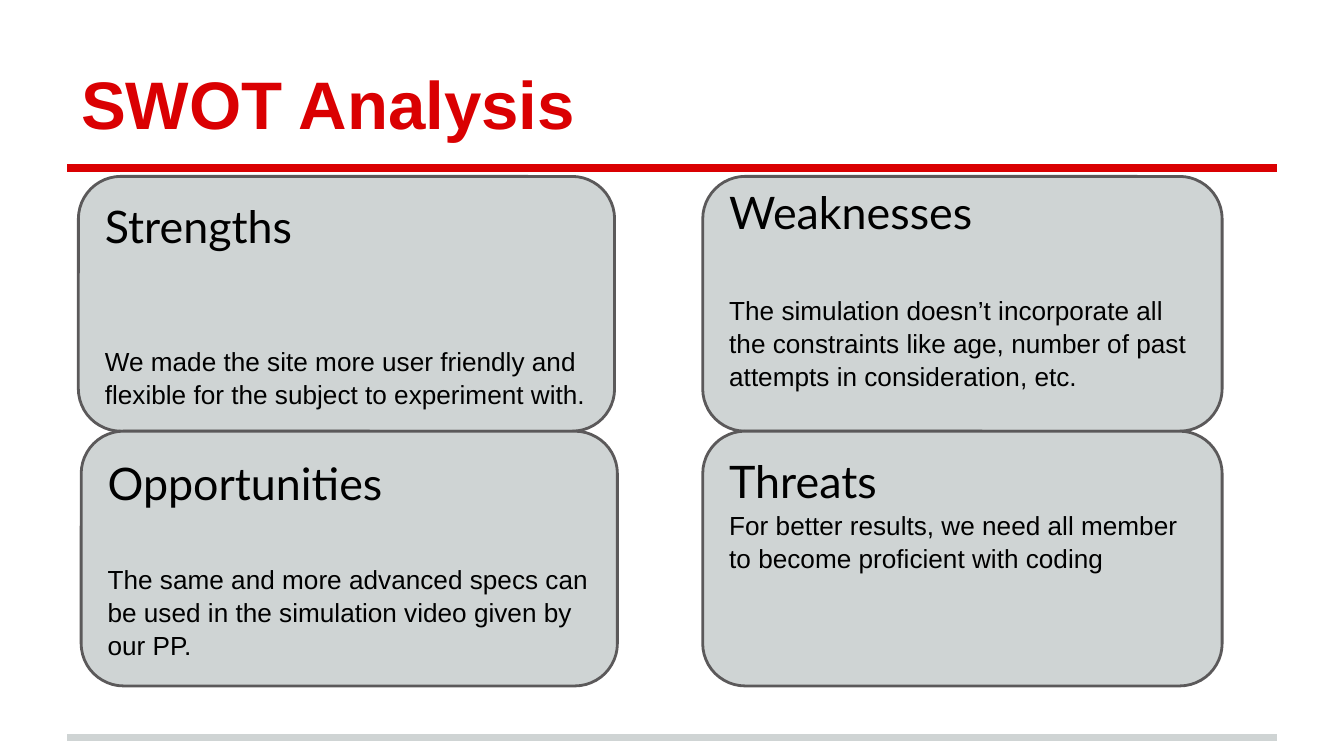
from dataclasses import dataclass

from lxml import etree
from pptx import Presentation
from pptx import util as u
from pptx.dml.color import RGBColor
from pptx.enum import shapes, text
from pptx.oxml.ns import qn


@dataclass(frozen=True)
class Theme:
    red = RGBColor(0xDA, 0x00, 0x02)
    pale = RGBColor(0xCF, 0xD4, 0xD4)
    outline = RGBColor(0x5B, 0x59, 0x5A)
    ink = RGBColor(0x00, 0x00, 0x00)
    title_size = u.Pt(36)
    heading_size = u.Pt(24)
    body_size = u.Pt(14)
    rule_width = u.Pt(4)
    card_line = u.Pt(1.5)
    heading_font = "Lato"
    body_font = "Arial"


theme = Theme()
PX = 9525  # EMU per px, 96 px to the inch
INSET = 10


def set_frame(frame, anchor, extra_bottom=0):
    """Wrap and anchor the text, with even insets plus extra room below."""
    frame.word_wrap = True
    frame.vertical_anchor = anchor
    frame.margin_left = frame.margin_right = frame.margin_top = INSET * PX
    frame.margin_bottom = (INSET + extra_bottom) * PX


def write(paragraph, words, font, size, color, bold=False):
    paragraph.text = words
    paragraph.alignment = text.PP_ALIGN.LEFT
    for run in paragraph.runs:
        run.font.name = font
        run.font.size = size
        run.font.color.rgb = color
        run.font.bold = bold


deck = Presentation()
deck.slide_width = 960 * PX
deck.slide_height = 540 * PX
slide = deck.slides.add_slide(deck.slide_layouts[6])

# Rules below the title and at the foot
for y, color in ((527, theme.pale), (120, theme.red)):
    rule = slide.shapes.add_connector(
        shapes.MSO_CONNECTOR.STRAIGHT, 48 * PX, y * PX, 912 * PX, y * PX)
    rule.line.color.rgb = color
    rule.line.width = theme.rule_width
    etree.SubElement(rule._element.spPr, qn("a:effectLst"))

title = slide.shapes.add_textbox(48 * PX, 22 * PX, 864 * PX, 90 * PX)
set_frame(title.text_frame, text.MSO_ANCHOR.BOTTOM)
write(title.text_frame.paragraphs[0], "SWOT Analysis",
      theme.body_font, theme.title_size, theme.red, bold=True)

# left px, row, width px, heading, body, gap before body in pt, room below in px
quadrants = [
    (56, 0, 383, "Strengths",
     "We made the site more user friendly and flexible for the subject "
     "to experiment with.", 49, 0),
    (502, 0, 371, "Weaknesses",
     "The simulation doesn’t incorporate all the constraints like age, "
     "number of past attempts in consideration, etc.", 29, 22),
    (58, 1, 383, "Opportunities",
     "The same and more advanced specs can be used in the simulation "
     "video given by our PP.", 28, 0),
    (502, 1, 371, "Threats",
     "For better results, we need all member to become proficient "
     "with coding", 0, 64),
]
CARD_TOP, CARD_HEIGHT = 126, 182

for left, row, width, heading, body, gap, room in quadrants:
    card = slide.shapes.add_shape(
        shapes.MSO_SHAPE.ROUNDED_RECTANGLE, left * PX,
        (CARD_TOP + row * CARD_HEIGHT) * PX, width * PX, CARD_HEIGHT * PX)
    card.shadow.inherit = False
    card.fill.solid()
    card.fill.fore_color.rgb = theme.pale
    card.line.color.rgb = theme.outline
    card.line.width = theme.card_line

    frame = card.text_frame
    set_frame(frame, text.MSO_ANCHOR.MIDDLE, room)
    write(frame.paragraphs[0], heading,
          theme.heading_font, theme.heading_size, theme.ink)
    detail = frame.add_paragraph()
    write(detail, body, theme.body_font, theme.body_size, theme.ink)
    detail.line_spacing = 1.05
    if gap:
        detail.space_before = u.Pt(gap)

deck.save("out.pptx")
